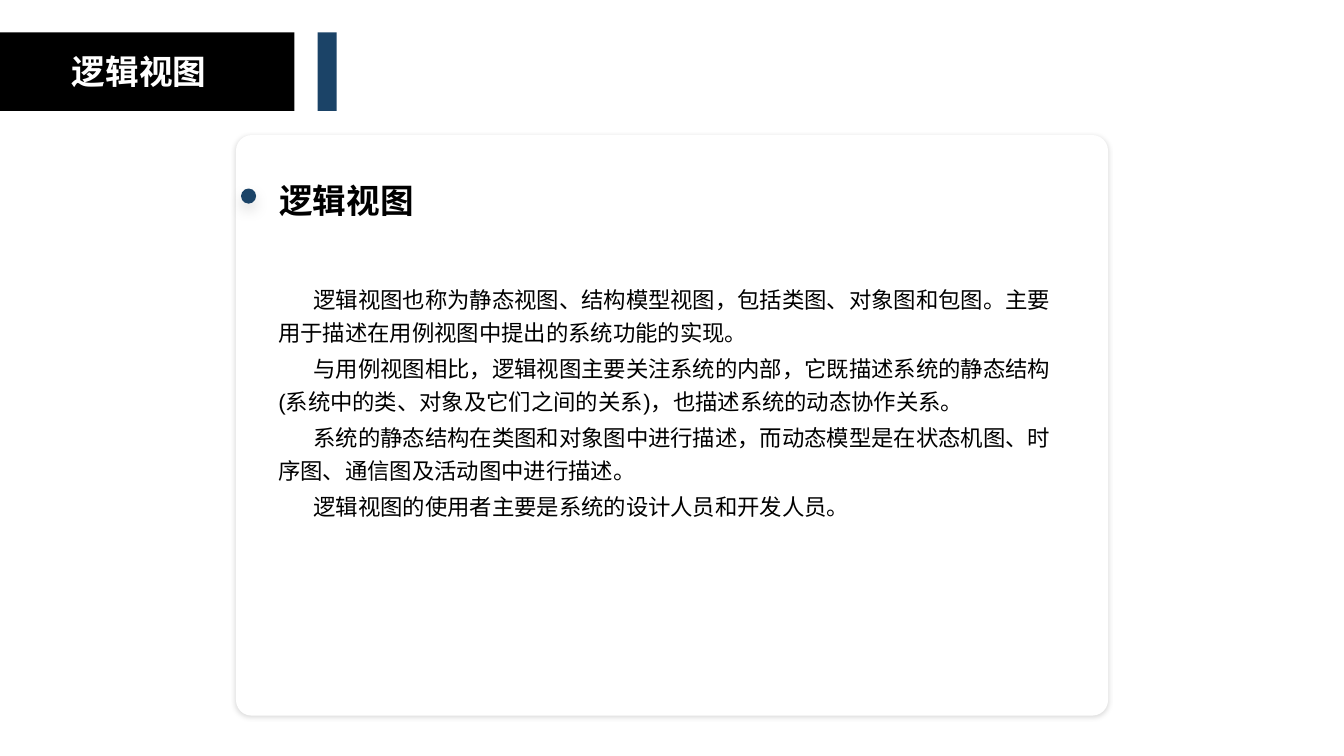
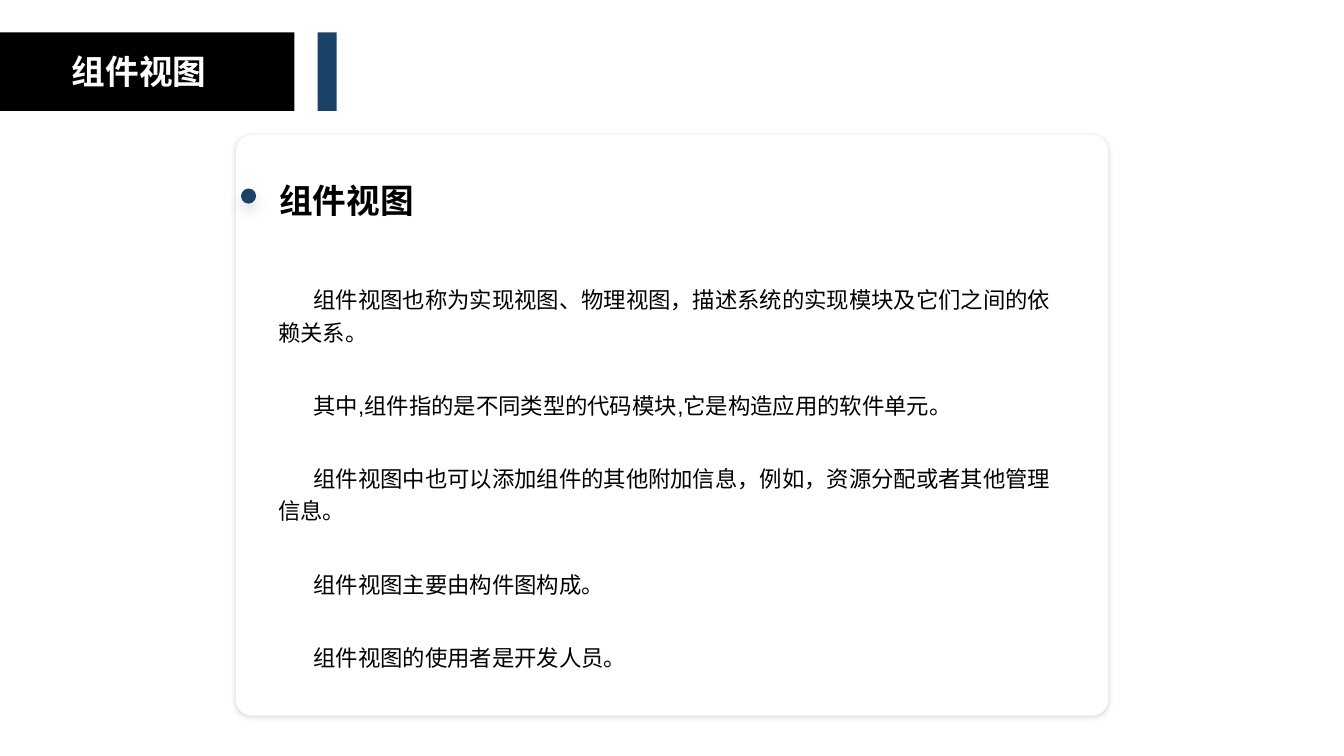
import dataclasses

import lxml.etree
import pptx
import pptx.dml.color
import pptx.enum.lang
import pptx.enum.shapes
import pptx.enum.text
import pptx.oxml.ns
import pptx.util

Inches = pptx.util.Inches
Pt = pptx.util.Pt
Shapes = pptx.enum.shapes.MSO_SHAPE
qn = pptx.oxml.ns.qn


@dataclasses.dataclass(frozen=True)
class Theme:
    black: str = "000000"
    white: str = "FFFFFF"
    accent: str = "1B4367"
    title_font: str = "Noto Sans CJK SC"
    text_font: str = "Arial"
    title_size: int = 24
    body_size: int = 16
    line_spacing: float = 1.2
    space_ratio: float = 0.2  # space before a paragraph, as a share of its type size
    body_indent: float = 0.35


class Deck:
    def __init__(self, theme):
        self.theme = theme
        self.presentation = pptx.Presentation()
        self.presentation.slide_width = Inches(13.33)
        self.presentation.slide_height = Inches(7.5)
        self.slide = None

    def add_slide(self):
        self.slide = self.presentation.slides.add_slide(self.presentation.slide_layouts[6])

    def shape(self, kind, left, top, width, height, color):
        shape = self.slide.shapes.add_shape(
            kind, Inches(left), Inches(top), Inches(width), Inches(height))
        shape.shadow.inherit = False
        shape.fill.solid()
        shape.fill.fore_color.rgb = pptx.dml.color.RGBColor.from_string(color)
        shape.line.fill.background()
        return shape

    def drop_shadow(self, shape, opacity, blur, distance):
        """Add a soft black shadow that falls straight down."""
        effects = shape._element.spPr.find(qn("a:effectLst"))
        shadow = lxml.etree.SubElement(
            effects, qn("a:outerShdw"), blurRad=str(Pt(blur)), dist=str(Pt(distance)),
            dir="5400000", algn="t", rotWithShape="0")
        color = lxml.etree.SubElement(shadow, qn("a:srgbClr"), val=self.theme.black)
        lxml.etree.SubElement(color, qn("a:alpha"), val=str(opacity * 1000))

    def text_box(self, left, top, width, height):
        box = self.slide.shapes.add_textbox(
            Inches(left), Inches(top), Inches(width), Inches(height))
        box.text_frame.word_wrap = True
        return box.text_frame

    def format_runs(self, paragraph, font_name, size, color, bold=False):
        for run in paragraph.runs:
            font = run.font
            font.name = font_name
            font.size = Pt(size)
            font.bold = bold
            font.color.rgb = pptx.dml.color.RGBColor.from_string(color)
            font.language_id = pptx.enum.lang.MSO_LANGUAGE_ID.SIMPLIFIED_CHINESE
            latin = run._r.rPr.find(qn("a:latin"))
            east_asian = latin.makeelement(qn("a:ea"), {"typeface": font_name})
            latin.addnext(east_asian)

    def title_band(self, title):
        theme = self.theme
        self.shape(Shapes.RECTANGLE, 0, 0.32, 2.92, 0.78, theme.black)
        self.shape(Shapes.RECTANGLE, 3.15, 0.32, 0.19, 0.78, theme.accent)
        frame = self.text_box(0, 0.46, 2.76, 0.5)
        frame.text = title
        paragraph = frame.paragraphs[0]
        paragraph.alignment = pptx.enum.text.PP_ALIGN.CENTER
        self.format_runs(paragraph, theme.title_font, theme.title_size, theme.white, True)

    def card(self):
        panel = self.shape(Shapes.ROUNDED_RECTANGLE, 2.34, 1.34, 8.65, 5.76, self.theme.white)
        panel.adjustments[0] = 0.027
        self.drop_shadow(panel, opacity=15, blur=3, distance=1)
        dot = self.shape(Shapes.OVAL, 2.39, 1.87, 0.15, 0.15, self.theme.accent)
        self.drop_shadow(dot, opacity=12, blur=10, distance=5)

    def card_text(self, place, text, size, bold=False, indent=0, gap_lines=0):
        """Write one paragraph per line of text, set apart by gap_lines extra lines."""
        theme = self.theme
        frame = self.text_box(*place)
        frame.margin_left = frame.margin_right = frame.margin_top = frame.margin_bottom = 0
        frame.text = text
        space = size * theme.space_ratio
        line_pitch = size * 1.43
        for index, paragraph in enumerate(frame.paragraphs):
            paragraph.line_spacing = theme.line_spacing
            extra = gap_lines * (line_pitch + space) if index else 0
            paragraph.space_before = Pt(space + extra)
            if indent:
                paragraph._p.get_or_add_pPr().set("indent", str(Inches(indent)))
            self.format_runs(paragraph, theme.text_font, size, theme.black, bold)

    def view_slide(self, title, paragraphs, gap_lines):
        theme = self.theme
        self.add_slide()
        self.title_band(title)
        self.card()
        self.card_text((2.77, 1.7, 4.14, 0.48), title, theme.title_size, bold=True)
        self.card_text((2.76, 2.79, 7.79, 4.2), "\n".join(paragraphs), theme.body_size,
                       indent=theme.body_indent, gap_lines=gap_lines)


# Title, body paragraphs, extra lines between paragraphs
VIEWS = [
    ("逻辑视图", [
        "逻辑视图也称为静态视图、结构模型视图，包括类图、对象图和包图。主要用于描述在用例视图中提出的系统功能的实现。",
        "与用例视图相比，逻辑视图主要关注系统的内部，它既描述系统的静态结构(系统中的类、对象及它们之间的关系)，也描述系统的动态协作关系。",
        "系统的静态结构在类图和对象图中进行描述，而动态模型是在状态机图、时序图、通信图及活动图中进行描述。",
        "逻辑视图的使用者主要是系统的设计人员和开发人员。",
    ], 0),
    ("组件视图", [
        "组件视图也称为实现视图、物理视图，描述系统的实现模块及它们之间的依赖关系。",
        "其中,组件指的是不同类型的代码模块,它是构造应用的软件单元。",
        "组件视图中也可以添加组件的其他附加信息，例如，资源分配或者其他管理信息。",
        "组件视图主要由构件图构成。",
        "组件视图的使用者是开发人员。",
    ], 1),
]


def main():
    deck = Deck(Theme())
    for title, paragraphs, gap_lines in VIEWS:
        deck.view_slide(title, paragraphs, gap_lines)
    deck.presentation.save("out.pptx")


if __name__ == "__main__":
    main()
